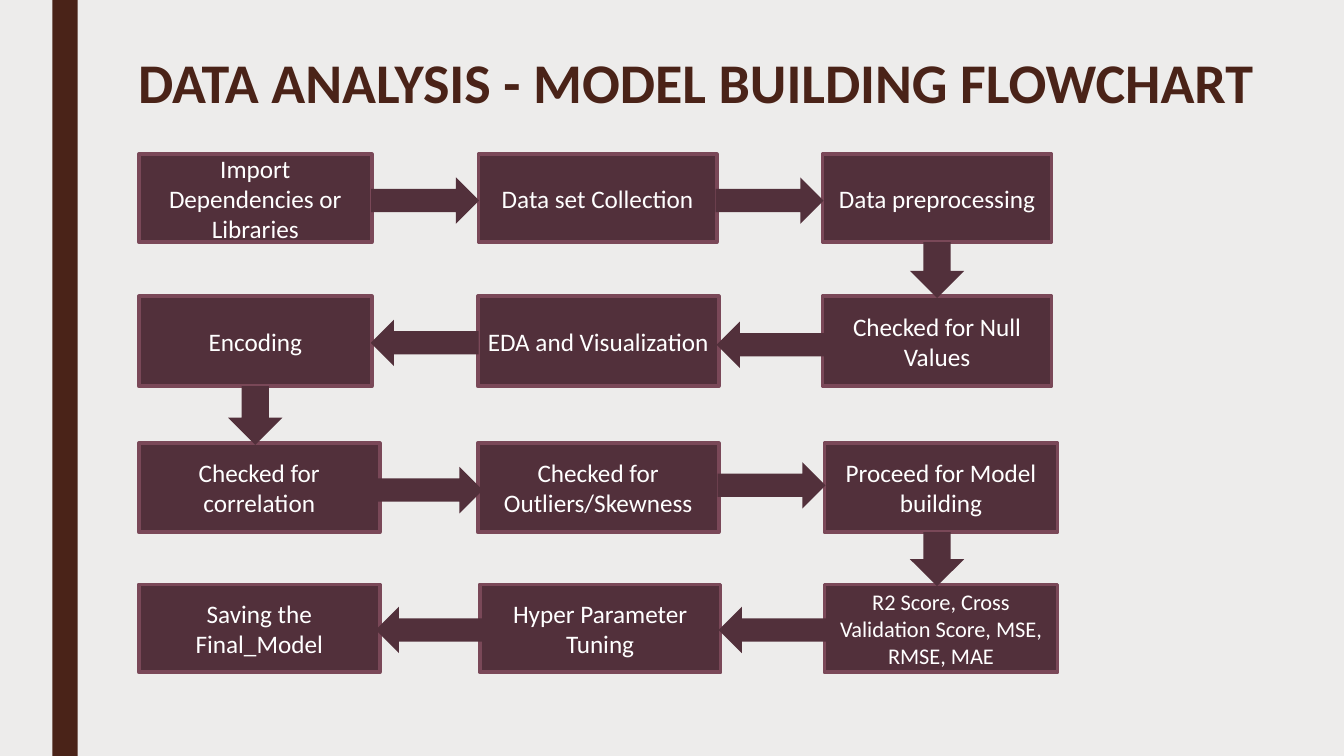
from dataclasses import dataclass

from pptx import Presentation
from pptx.dml.color import RGBColor
from pptx.enum.shapes import MSO_SHAPE as Preset
from pptx.enum.text import MSO_ANCHOR as Anchor, PP_ALIGN as Align
from pptx.util import Cm, Pt

HEADING = "DATA ANALYSIS - MODEL BUILDING FLOWCHART"
STEPS = [
    ["Import Dependencies or Libraries", "Data set Collection", "Data preprocessing"],
    ["Encoding", "EDA and Visualization", "Checked for Null Values"],
    ["Checked for correlation", "Checked for Outliers/Skewness", "Proceed for Model building"],
    ["Saving the Final_Model", "Hyper Parameter Tuning",
     "R2 Score, Cross Validation Score, MSE, RMSE, MAE"],
]
SMALL_STEP = STEPS[3][2]

ROW_TOPS = [3.89, 7.47, 11.17, 14.73]
ROW_HEIGHTS = [2.21, 2.26, 2.24, 2.21]
STEP_LEFTS = [
    [3.5, 12.06, 20.73],
    [3.5, 12.04, 20.73],
    [3.5, 12.04, 20.78],
    [3.5, 12.09, 20.78],
]
STEP_WIDTHS = [
    [5.87, 6, 5.77],
    [5.87, 6.07, 5.77],
    [6.07, 6.07, 5.87],
    [6.07, 6.07, 5.87],
]
ARROW_DROPS = [(0.06, 0.06), (0.04, 0.09), (0.06, -0.06), (0.04, 0.04)]
ARROW_LENGTH, ARROW_BREADTH = 2.72, 1.17
TURN_BREADTH, TURN_OVERLAP = 1.37, 0.04


@dataclass(frozen=True)
class Theme:
    font: str = "Calibri"
    backdrop: RGBColor = RGBColor.from_string("EDECEB")
    accent: RGBColor = RGBColor.from_string("4A2318")
    step: RGBColor = RGBColor.from_string("52303B")
    border: RGBColor = RGBColor.from_string("7A4858")
    step_text: RGBColor = RGBColor.from_string("FFFFFF")
    heading_size: int = 40
    step_size: int = 18
    small_size: int = 16
    border_width: float = 2.75


THEME = Theme()


def apply_format(target, values):
    for attribute, value in values.items():
        setattr(target, attribute, value)


def write(paragraph, text, size, color, align, bold=False):
    paragraph.text = text
    paragraph.alignment = align
    font = paragraph.runs[0].font
    apply_format(font, {"name": THEME.font, "size": Pt(size), "bold": bold})
    font.color.rgb = color


def add_block(slide, preset, box, fill, border=None):
    block = slide.shapes.add_shape(preset, *map(Cm, box))
    block.shadow.inherit = False
    block.fill.solid()
    block.fill.fore_color.rgb = fill
    if border is None:
        block.line.fill.background()
    else:
        block.line.color.rgb = border
        block.line.width = Pt(THEME.border_width)
    return block


def add_heading(slide):
    heading = slide.shapes.title
    apply_format(heading, {"left": Cm(3.23), "top": Cm(1.17),
                           "width": Cm(30.6), "height": Cm(1.96)})
    apply_format(heading.text_frame, {"vertical_anchor": Anchor.MIDDLE, "word_wrap": True})
    line = heading.text_frame.paragraphs[0]
    write(line, HEADING, THEME.heading_size, THEME.accent, Align.LEFT, bold=True)
    line.line_spacing = 0.89


def add_steps(slide):
    for row, labels in enumerate(STEPS):
        for label, left, width in zip(labels, STEP_LEFTS[row], STEP_WIDTHS[row]):
            step = add_block(slide, Preset.FLOWCHART_PROCESS,
                             (left, ROW_TOPS[row], width, ROW_HEIGHTS[row]),
                             THEME.step, THEME.border)
            apply_format(step.text_frame, {"vertical_anchor": Anchor.MIDDLE, "word_wrap": True})
            size = THEME.small_size if label == SMALL_STEP else THEME.step_size
            write(step.text_frame.paragraphs[0], label, size, THEME.step_text, Align.CENTER)


def add_row_arrows(slide):
    for row, drops in enumerate(ARROW_DROPS):
        preset = Preset.LEFT_ARROW if row % 2 else Preset.RIGHT_ARROW
        middle = ROW_TOPS[row] + ROW_HEIGHTS[row] / 2
        for column, drop in enumerate(drops):
            gap_start = STEP_LEFTS[row][column] + STEP_WIDTHS[row][column]
            gap_center = (gap_start + STEP_LEFTS[row][column + 1]) / 2
            add_block(slide, preset,
                      (gap_center - ARROW_LENGTH / 2, middle + drop - ARROW_BREADTH / 2,
                       ARROW_LENGTH, ARROW_BREADTH), THEME.step)


def add_turn_arrows(slide):
    for row in range(len(STEPS) - 1):
        column = 0 if row % 2 else 2
        center = STEP_LEFTS[0][column] + STEP_WIDTHS[0][column] / 2
        top = ROW_TOPS[row] + ROW_HEIGHTS[row]
        length = ROW_TOPS[row + 1] - top + TURN_OVERLAP
        add_block(slide, Preset.DOWN_ARROW,
                  (center - TURN_BREADTH / 2, top, TURN_BREADTH, length), THEME.step)


def main():
    deck = Presentation()
    apply_format(deck, {"slide_width": Cm(33.87), "slide_height": Cm(19.05)})
    slide = deck.slides.add_slide(deck.slide_layouts[5])
    slide.background.fill.solid()
    slide.background.fill.fore_color.rgb = THEME.backdrop
    add_block(slide, Preset.RECTANGLE, (1.32, 0, 0.64, 19.05), THEME.accent)
    add_heading(slide)
    add_steps(slide)
    add_row_arrows(slide)
    add_turn_arrows(slide)
    deck.save("out.pptx")


if __name__ == "__main__":
    main()
